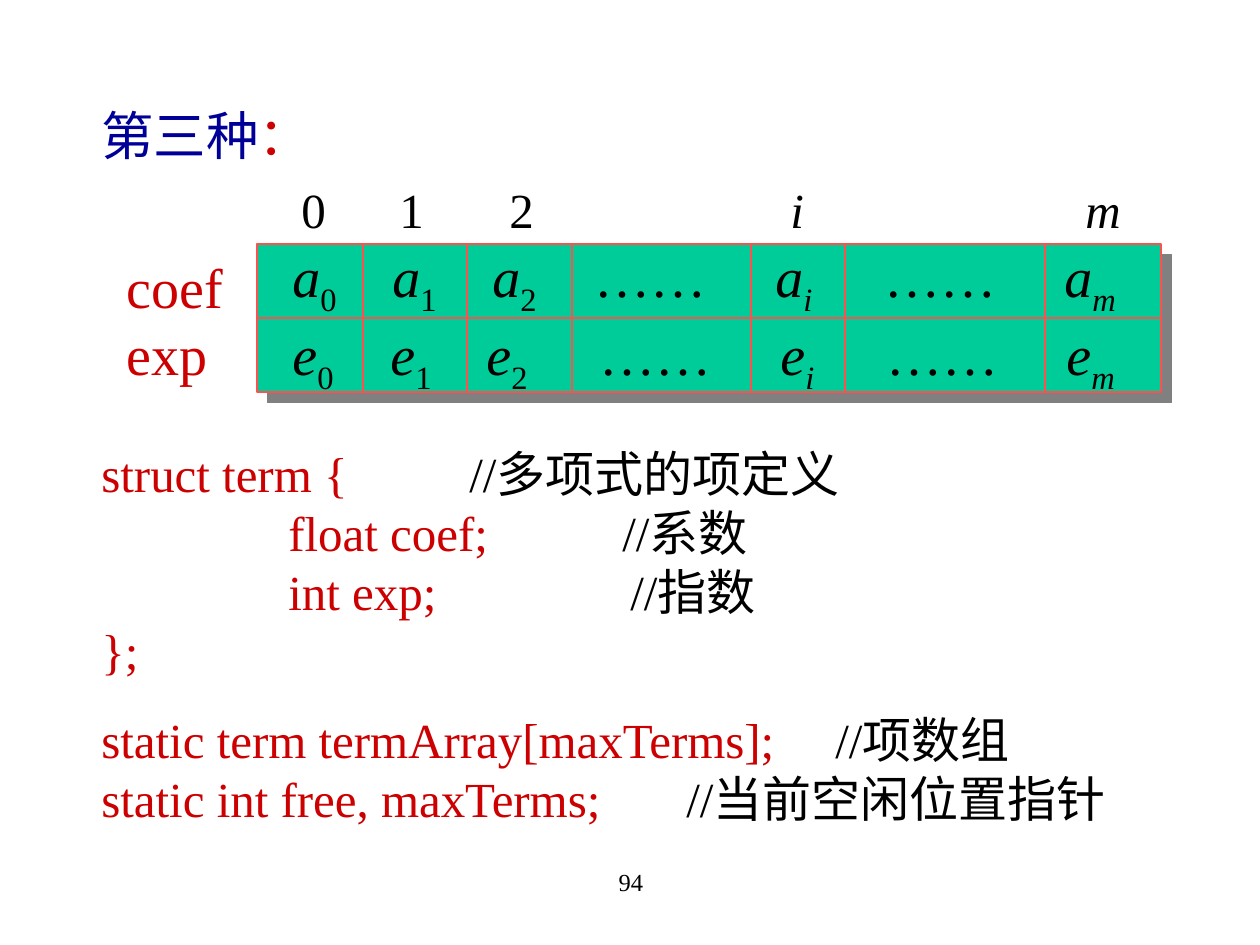
from lxml import etree
from pptx import Presentation
from pptx import util as u
from pptx.dml.color import RGBColor
from pptx.enum import shapes, text
from pptx.oxml import ns

PX = 914400 / 126
RED, BLUE, BLACK = "CC0000", "000099", "000000"
GREEN, EDGE, GREY = "00CC99", "FF5050", "808080"


def rgb(code):
    return RGBColor.from_string(code)


def write(box, lines, size=28, color=BLACK, pitch=None, align=None):
    """Add a text box; each line is a dict of runs, tabs (px), gap and pitch.

    A run is (text, format), with size, color, italic and sub as format keys.
    """
    frame = slide.shapes.add_textbox(*[int(n * PX) for n in box]).text_frame
    frame.word_wrap = True
    for n, line in enumerate(lines):
        para = frame.add_paragraph() if n else frame.paragraphs[0]
        para.alignment = align
        para.space_before = u.Emu(int(line.get("gap", 0) * PX))
        step = line.get("pitch", pitch)
        if step:
            para.line_spacing = u.Emu(int(step * PX))
        if line.get("tabs"):
            stops = etree.SubElement(para._p.get_or_add_pPr(), ns.qn("a:tabLst"))
            for x in line["tabs"]:
                etree.SubElement(stops, ns.qn("a:tab"), pos=str(int(x * PX)), algn="l")
        for words, form in line["runs"]:
            run = para.add_run()
            run.text = words
            font = run.font
            font.name = "Times New Roman"
            font.size = u.Pt(form.get("size", size))
            font.color.rgb = rgb(form.get("color", color))
            font.italic = form.get("italic", False)
            if form.get("sub"):
                run._r.get_or_add_rPr().set("baseline", "-25000")


deck = Presentation()
deck.slide_width, deck.slide_height = u.Inches(10), u.Inches(7.5)
slide = deck.slides.add_slide(deck.slide_layouts[6])

# Page number
write((431, 861, 400, 63), [{"runs": [("94", {})]}], size=14,
      align=text.PP_ALIGN.CENTER)

# Heading and code: code, comment, tab stops, gap above
code = [
    ("struct term {", "//多项式的项定义", [368], 277),
    ("\tfloat coef;", "//系数", [187, 521], 0),
    ("\tint exp;", "//指数", [187, 529], 0),
    ("};", "", [], 0),
    ("static term termArray[maxTerms];", "//项数组", [734], 30),
    ("static int free, maxTerms;", "//当前空闲位置指针", [585], 0),
]
lines = [{"runs": [("第三种", {"size": 30, "color": BLUE}), ("：", {"size": 30})],
          "pitch": 64}]
for left, note, tabs, gap in code:
    runs = [(left, {})]
    if note:
        runs.append(("\t" + note, {"color": BLACK}))
    lines.append({"runs": runs, "tabs": tabs, "gap": gap})
write((89, 96, 1099, 774), lines, color=RED, pitch=59)

# Array frame with its shadow
LEFT, TOP, WIDE, HIGH = 257, 244, 904, 148
frame = slide.shapes.add_shape(
    shapes.MSO_SHAPE.RECTANGLE, *[int(n * PX) for n in (LEFT, TOP, WIDE, HIGH)])
frame.fill.solid()
frame.fill.fore_color.rgb = rgb(GREEN)
frame.line.color.rgb = rgb(EDGE)
frame.line.width = u.Pt(0.75)
frame.shadow.inherit = False
shade = etree.SubElement(
    frame._element.spPr.find(ns.qn("a:effectLst")), ns.qn("a:outerShdw"),
    dist=str(u.Pt(8.5)), dir="2700000", algn="ctr", rotWithShape="0")
etree.SubElement(shade, ns.qn("a:srgbClr"), val=GREY)

# Grid lines: column edges, then the middle rule
mid = TOP + HIGH // 2
ends = [(x, TOP, x, TOP + HIGH) for x in (363, 467, 572, 751, 845, 1045)]
ends.append((LEFT, mid, LEFT + WIDE, mid))
for end in ends:
    rule = slide.shapes.add_connector(
        shapes.MSO_CONNECTOR.STRAIGHT, *[int(n * PX) for n in end])
    rule.line.color.rgb = rgb(EDGE)
    rule.line.width = u.Pt(0.75)
    etree.SubElement(rule._element.spPr, ns.qn("a:effectLst"))
rule.begin_connect(frame, 1)
rule.end_connect(frame, 3)

# Array entries
lines = []
for name, tabs in (("a", [100, 200, 302, 483, 592, 772]),
                   ("e", [98, 194, 307, 488, 594, 774])):
    runs = []
    for n, sub in enumerate(["0", "1", "2", "", "i", "", "m"]):
        tab = "\t" if n else ""
        if sub:
            runs.append((tab + name, {"italic": True}))
            runs.append((sub, {"italic": sub.isalpha(), "sub": True}))
        else:
            runs.append((tab + "……", {}))
    lines.append({"runs": runs, "tabs": tabs})
write((280, 234, 862, 148), lines, size=32, pitch=78)

# Row names and column indices
write((114, 247, 130, 148), [{"runs": [(name, {})]} for name in ("coef", "exp")],
      size=32, color=RED, pitch=67)
write((289, 171, 849, 72),
      [{"runs": [("0\t1\t2", {}), ("\ti\tm", {"italic": True})],
        "tabs": [98, 208, 489, 784]}], pitch=61)

deck.save("out.pptx")
